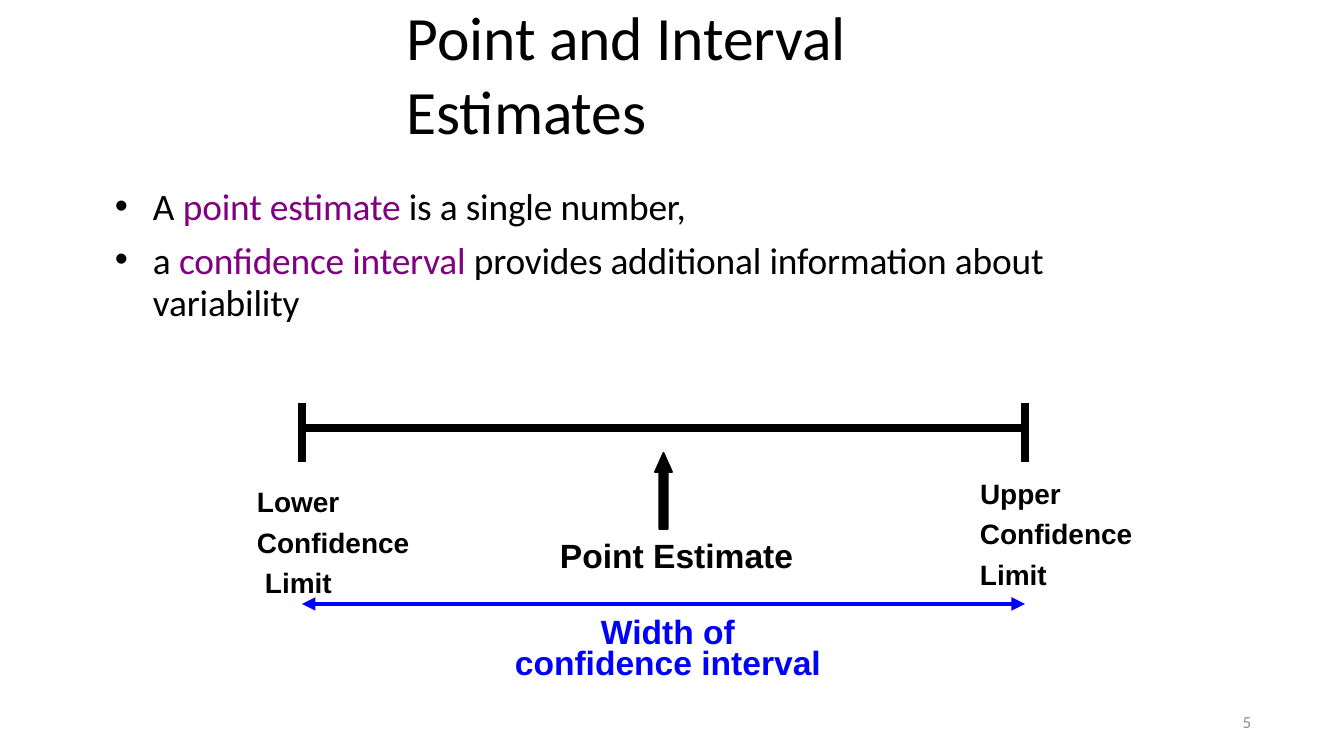
from lxml.etree import SubElement
from pptx import Presentation
from pptx.dml.color import RGBColor
from pptx.enum.shapes import MSO_CONNECTOR, MSO_SHAPE
from pptx.enum.text import MSO_ANCHOR, PP_ALIGN
from pptx.oxml.ns import qn
from pptx.util import Emu, Pt

BLACK = RGBColor(0, 0, 0)
PURPLE = RGBColor(0x80, 0, 0x80)
BLUE = RGBColor(0, 0, 0xFF)
GRAY = RGBColor(0x8C, 0x8C, 0x8C)

SLIDE_WIDTH, SLIDE_HEIGHT = 1344, 756
LOWER, UPPER = 302, 1025  # ends of the interval
INTERVAL_Y, WIDTH_Y = 428, 604
CAP_TOP, CAP_BOTTOM = 403, 462
ESTIMATE_ARROW = (655, 453, 17, 76)

# A paragraph is a list of (text, colour) runs; a plain string is one run.
TITLE = ["Point and Interval Estimates"]
BULLETS = [
    [("A ", BLACK), ("point estimate ", PURPLE), ("is a single number,", BLACK)],
    [("a ", BLACK), ("confidence interval ", PURPLE),
     ("provides additional information about variability", BLACK)],
]
LIMIT = dict(font="Arial", size=15, bold=True, line_points=21.7)
CAPTION = dict(font="Arial", size=18, bold=True)
TEXTS = [
    (TITLE, (407, -2, 610, 150),
     dict(size=33, anchor=MSO_ANCHOR.MIDDLE, spacing=-0.1)),
    (["5"], (949, 702, 302, 40),
     dict(size=9, color=GRAY, align=PP_ALIGN.RIGHT, anchor=MSO_ANCHOR.MIDDLE)),
    (BULLETS, (113, 183, 943, 140),
     dict(size=20, bullet_indent=40, gap=6, later_line_points=22.8, spacing=-0.1)),
    (["Point Estimate"], (560, 535, 240, 40), CAPTION),
    (["Lower", "Confidence", "Limit"], (257, 478, 160, 122),
     dict(LIMIT, last_indent=8)),
    (["Upper"], (980, 470, 90, 40), LIMIT),
    (["Confidence", "Limit"], (980, 510, 160, 82), LIMIT),
    (["Width of", "confidence interval"], (508, 620, 320, 64),
     dict(CAPTION, color=BLUE, align=PP_ALIGN.CENTER, line_points=16.6)),
]


def px(value):
    return Emu(round(value * 914400 / 134.4))


def add_text(slide, paragraphs, box, font="Calibri", size=18, color=BLACK, bold=False,
             align=PP_ALIGN.LEFT, anchor=MSO_ANCHOR.TOP, gap=0, line_points=None,
             later_line_points=None, bullet_indent=0, last_indent=0, spacing=0):
    frame = slide.shapes.add_textbox(*map(px, box)).text_frame
    frame.word_wrap = True
    frame.vertical_anchor = anchor
    frame.margin_left = frame.margin_right = frame.margin_top = frame.margin_bottom = 0
    for index, runs in enumerate(paragraphs):
        paragraph = frame.add_paragraph() if index else frame.paragraphs[0]
        if bullet_indent:
            add_bullet(paragraph, bullet_indent)
        elif last_indent and index == len(paragraphs) - 1:
            paragraph._p.get_or_add_pPr().set("marL", str(px(last_indent)))
        paragraph.alignment = align
        if index and gap:
            paragraph.space_before = Pt(gap)
        points = later_line_points if index and later_line_points else line_points
        if points:
            paragraph.line_spacing = Pt(points)
        for text, run_color in [(runs, color)] if isinstance(runs, str) else runs:
            run = paragraph.add_run()
            run.text = text
            run.font.name = font
            run.font.size = Pt(size)
            run.font.bold = bold
            run.font.color.rgb = run_color
            if spacing:
                run._r.get_or_add_rPr().set("spc", str(round(spacing * 100)))


def add_bullet(paragraph, indent):
    properties = paragraph._p.get_or_add_pPr()
    properties.set("marL", str(px(indent)))
    properties.set("indent", str(-px(indent - 2)))
    SubElement(properties, qn("a:buFont"), typeface="Arial")
    SubElement(properties, qn("a:buChar"), char="•")


def add_interval(slide):
    """Draw the interval line and both end caps as one outline."""
    builder = slide.shapes.build_freeform(LOWER, INTERVAL_Y, scale=px(1))
    builder.add_line_segments([(UPPER, INTERVAL_Y)], close=False)
    for x in (LOWER, UPPER):
        builder.move_to(x, CAP_TOP)
        builder.add_line_segments([(x, CAP_BOTTOM)], close=False)
    interval = builder.convert_to_shape()
    interval.shadow.inherit = False
    interval.fill.background()
    interval.line.color.rgb = BLACK
    interval.line.width = Pt(4.5)


def add_width_arrow(slide):
    arrow = slide.shapes.add_connector(
        MSO_CONNECTOR.STRAIGHT, *map(px, (LOWER, WIDTH_Y, UPPER, WIDTH_Y)))
    arrow.line.color.rgb = BLUE
    arrow.line.width = Pt(2.4)
    outline = arrow.line._get_or_add_ln()
    for name in ("a:headEnd", "a:tailEnd"):
        SubElement(outline, qn(name), type="triangle")
    SubElement(arrow._element.spPr, qn("a:effectLst"))


def add_estimate_arrow(slide):
    arrow = slide.shapes.add_shape(MSO_SHAPE.UP_ARROW, *map(px, ESTIMATE_ARROW))
    arrow.adjustments[0] = 0.5
    arrow.adjustments[1] = 1.12
    arrow.shadow.inherit = False
    arrow.fill.solid()
    arrow.fill.fore_color.rgb = BLACK
    arrow.line.color.rgb = BLACK
    arrow.line.width = Pt(1)


def main():
    presentation = Presentation()
    presentation.slide_width = px(SLIDE_WIDTH)
    presentation.slide_height = px(SLIDE_HEIGHT)
    slide = presentation.slides.add_slide(presentation.slide_layouts[6])

    add_interval(slide)
    add_estimate_arrow(slide)
    add_width_arrow(slide)
    for paragraphs, box, style in TEXTS:
        add_text(slide, paragraphs, box, **style)

    presentation.save("out.pptx")


if __name__ == "__main__":
    main()
